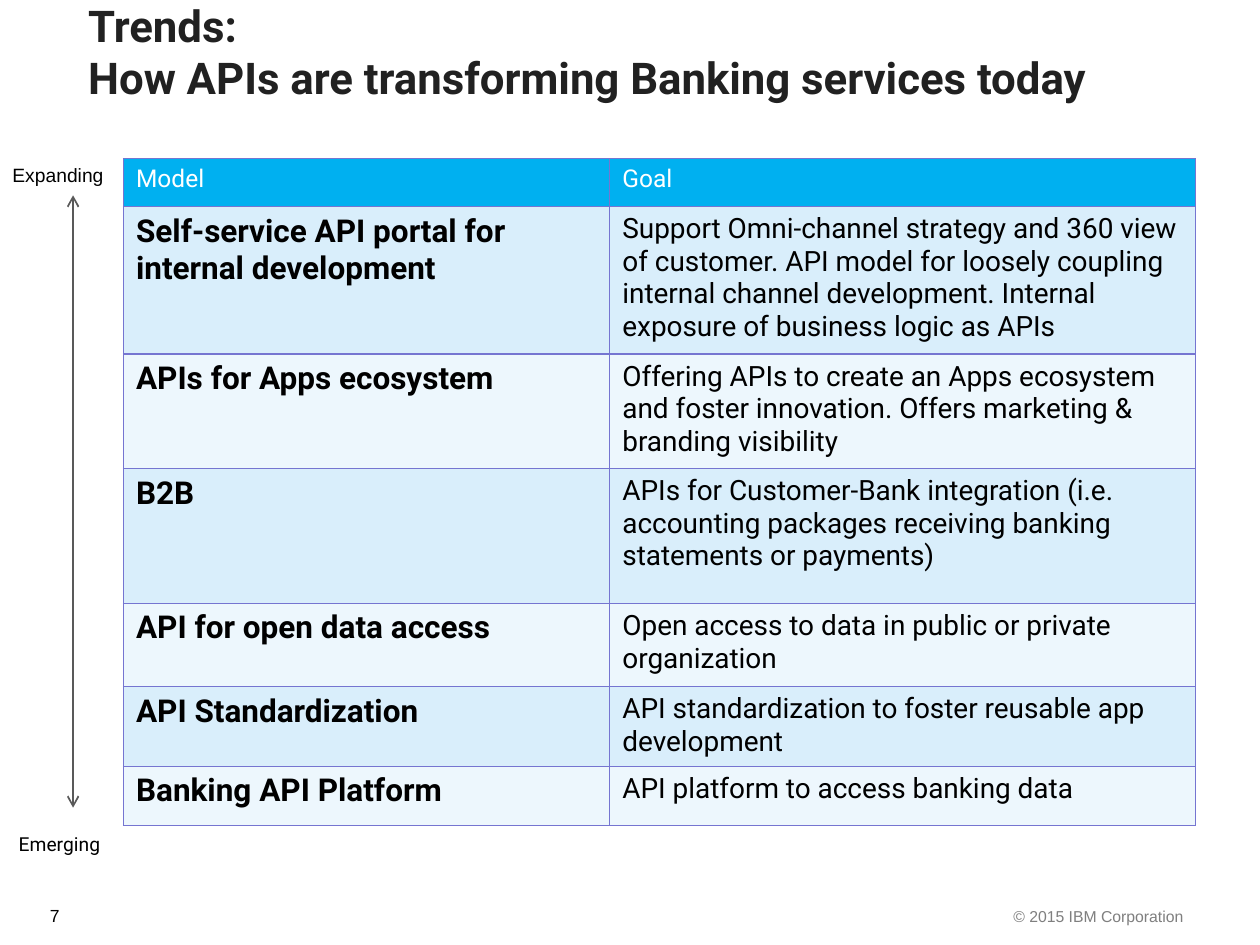
from lxml.etree import SubElement
from pptx import Presentation
from pptx.dml.color import RGBColor
from pptx.enum.shapes import MSO_CONNECTOR
from pptx.enum.text import MSO_ANCHOR, MSO_AUTO_SIZE, PP_ALIGN
from pptx.oxml.ns import qn
from pptx.util import Inches, Pt

HEADER = ("Model", "Goal")
MODELS = [
    ("Self-service API portal for internal development",
     "Support Omni-channel strategy and 360 view of customer. API model for loosely "
     "coupling internal channel development. Internal exposure of business logic as APIs"),
    ("APIs for Apps ecosystem",
     "Offering APIs to create an Apps ecosystem and foster innovation. "
     "Offers marketing & branding visibility"),
    ("B2B",
     "APIs for Customer-Bank integration (i.e. accounting packages receiving "
     "banking statements or payments)"),
    ("API for open data access", "Open access to data in public or private organization"),
    ("API Standardization", "API standardization to foster reusable app development"),
    ("Banking API Platform", "API platform to access banking data"),
]
COLUMN_WIDTHS = (3.86, 4.65)
ROW_HEIGHTS = (0.38, 1.17, 0.91, 1.07, 0.66, 0.63, 0.47)
BANDS = ("D9EEFB", "EDF7FD")


def color(value):
    return RGBColor.from_string(value)


def add_text(paragraph, text, size, font="Roboto", fill="000000", bold=False):
    run = paragraph.add_run()
    run.text = text
    run.font.size = Pt(size)
    run.font.name = font
    run.font.bold = bold
    run.font.color.rgb = color(fill)


def add_label(slide, box, text, size, font="Arial", fill="000000",
              align=PP_ALIGN.LEFT, wrap=True):
    frame = slide.shapes.add_textbox(*map(Inches, box)).text_frame
    frame.word_wrap = wrap
    paragraph = frame.paragraphs[0]
    paragraph.alignment = align
    add_text(paragraph, text, size, font, fill)


def place_title(slide, box, lines):
    title = slide.shapes.title
    title.left, title.top, title.width, title.height = map(Inches, box)
    frame = title.text_frame
    frame.word_wrap = True
    frame.auto_size = MSO_AUTO_SIZE.NONE
    frame.vertical_anchor = MSO_ANCHOR.TOP
    for index, line in enumerate(lines):
        paragraph = frame.add_paragraph() if index else frame.paragraphs[0]
        paragraph.alignment = PP_ALIGN.LEFT
        paragraph.space_before = Pt(0)
        add_text(paragraph, line, 25, fill="212121", bold=True)


def add_borders(cell, line_color, width):
    properties = cell._tc.get_or_add_tcPr()
    for index, side in enumerate(("a:lnL", "a:lnR", "a:lnT", "a:lnB")):
        border = properties.makeelement(qn(side), {"w": str(Pt(width))})
        fill = SubElement(border, qn("a:solidFill"))
        SubElement(fill, qn("a:srgbClr"), val=line_color)
        properties.insert(index, border)


def fill_cell(cell, text, size, background, text_color="000000", bold=False):
    cell.fill.solid()
    cell.fill.fore_color.rgb = color(background)
    add_borders(cell, "7575D1", 0.75)
    add_text(cell.text_frame.paragraphs[0], text, size, fill=text_color, bold=bold)


def add_models_table(slide, box):
    table = slide.shapes.add_table(
        len(ROW_HEIGHTS), len(COLUMN_WIDTHS), *map(Inches, box)).table
    for column, width in zip(table.columns, COLUMN_WIDTHS):
        column.width = Inches(width)
    for row, height in zip(table.rows, ROW_HEIGHTS):
        row.height = Inches(height)
    for column, heading in enumerate(HEADER):
        fill_cell(table.cell(0, column), heading, 14, "00B0F0", "FFFFFF")
    for row, (model, goal) in enumerate(MODELS, start=1):
        band = BANDS[(row - 1) % 2]
        fill_cell(table.cell(row, 0), model, 18, band, bold=True)
        fill_cell(table.cell(row, 1), goal, 16, band)


def add_maturity_axis(slide, box):
    left, top, width, height = box
    add_label(slide, (left, top, width, 0.29), "Expanding", 11, wrap=False)
    add_label(slide, (left + 0.05, top + height - 0.28, 0.86, 0.28),
              "Emerging", 11, "Roboto", wrap=False)
    x = Inches(left + 0.58)
    axis = slide.shapes.add_connector(
        MSO_CONNECTOR.STRAIGHT, x, Inches(top + 0.3), x, Inches(top + height - 0.43))
    axis.line.color.rgb = color("595959")
    axis.line.width = Pt(1)
    line = axis.line._get_or_add_ln()
    for end in ("a:headEnd", "a:tailEnd"):
        SubElement(line, qn(end), type="arrow")
    SubElement(axis._element.spPr, qn("a:effectLst"))


def add_footer(slide, box):
    left, top, width, height = box
    add_label(slide, (left, top, 0.39, height), "7", 10, align=PP_ALIGN.RIGHT)
    add_label(slide, (left + width - 1.71, top + 0.02, 1.71, 0.25),
              "© 2015 IBM Corporation", 9, fill="7F7F7F", align=PP_ALIGN.RIGHT)


def main():
    deck = Presentation()
    deck.slide_width, deck.slide_height = Inches(10), Inches(7.5)
    slide = deck.slides.add_slide(deck.slide_layouts[5])
    add_footer(slide, (0.18, 7.13, 9.31, 0.32))
    add_models_table(slide, (0.98, 1.26, 8.51, 5.29))
    place_title(slide, (0.6, -0.06, 10.23, 0.94),
                ("Trends:", "How APIs are transforming Banking services today"))
    add_maturity_axis(slide, (0, 1.25, 0.93, 5.59))
    deck.save("out.pptx")


if __name__ == "__main__":
    main()
